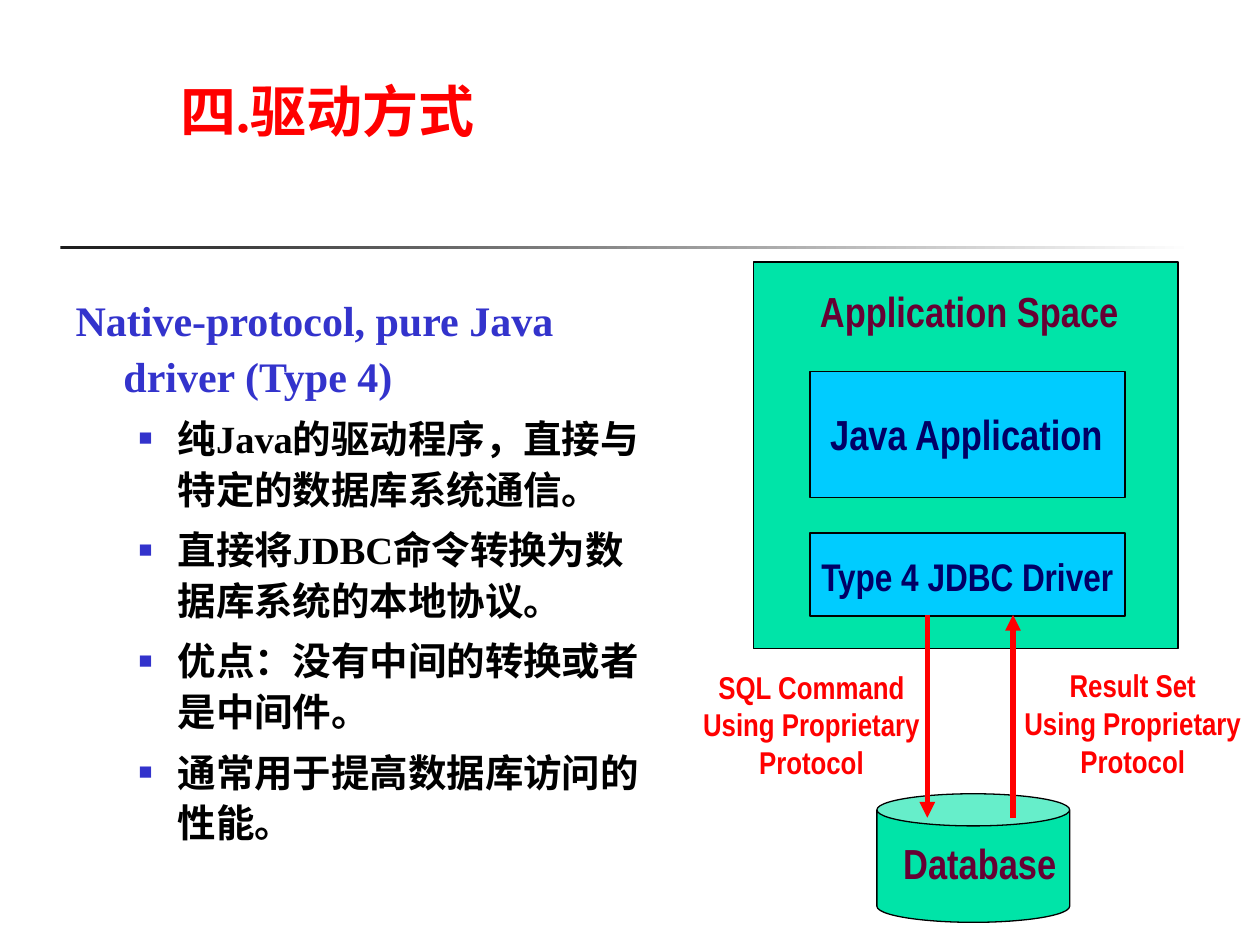
from lxml import etree
from pptx import Presentation
from pptx import util as u
from pptx.dml.color import RGBColor
from pptx.enum import shapes, text
from pptx.oxml import ns

COLORS = {
    "red": "FF0000", "blue": "3333CC", "black": "000000", "green": "00E4A8",
    "cyan": "00CCFF", "plum": "660033", "navy": "000066",
    "rule_dark": "1C1C1C", "rule_light": "FFFFFF",
}

deck = Presentation()
deck.slide_width, deck.slide_height = u.Inches(10), u.Inches(7.5)
slide = deck.slides.add_slide(deck.slide_layouts[1])


def box(*inches):
    return [u.Inches(value) for value in inches]


def style(paragraph, size, color, face):
    for run in paragraph.runs:
        run.font.size = u.Pt(size)
        run.font.bold = True
        run.font.name = face
        run.font.color.rgb = RGBColor.from_string(COLORS[color])


rule = slide.shapes.add_shape(shapes.MSO_SHAPE.RECTANGLE, *box(0.48, 1.95, 9, 0.03))
rule.shadow.inherit = False
rule.line.fill.background()
rule.fill.gradient()
rule.fill.gradient_angle = 0
for stop, shade, position in zip(rule.fill.gradient_stops, ("rule_dark", "rule_light"), (0, 1)):
    stop.color.rgb = RGBColor.from_string(COLORS[shade])
    stop.position = position

heading = slide.shapes.title
heading.left, heading.top, heading.width, heading.height = box(1.33, 0.56, 7.92, 0.64)
heading.text_frame.text = "四.驱动方式"
heading.text_frame.vertical_anchor = text.MSO_ANCHOR.TOP
heading.text_frame.auto_size = text.MSO_AUTO_SIZE.NONE
heading.text_frame.paragraphs[0].alignment = text.PP_ALIGN.LEFT
style(heading.text_frame.paragraphs[0], 32, "red", "Times New Roman")

driver_notes = slide.placeholders[1]
driver_notes.left, driver_notes.top, driver_notes.width, driver_notes.height = box(0.5, 2.25, 4.76, 4.48)
driver_notes.text_frame.auto_size = text.MSO_AUTO_SIZE.NONE
driver_notes.text_frame.text = "\n".join([
    "Native-protocol, pure Java driver (Type 4)",
    "纯Java的驱动程序，直接与特定的数据库系统通信。",
    "直接将JDBC命令转换为数据库系统的本地协议。",
    "优点：没有中间的转换或者是中间件。",
    "通常用于提高数据库访问的性能。",
])
for index, note in enumerate(driver_notes.text_frame.paragraphs):
    note.level = min(index, 1)
    note.line_spacing = 1.1
    note.space_before = u.Pt(5.5 if index else 0)
    margin, indent = (0.81, -0.31) if index else (0.38, -0.38)
    properties = note._p.get_or_add_pPr()
    properties.set("marL", str(u.Inches(margin)))
    properties.set("indent", str(u.Inches(indent)))
    if index:
        bullet_color = etree.SubElement(properties, ns.qn("a:buClr"))
        etree.SubElement(bullet_color, ns.qn("a:srgbClr"), val=COLORS["blue"])
        etree.SubElement(properties, ns.qn("a:buSzPct"), val="60000")
        etree.SubElement(properties, ns.qn("a:buChar"), char="■")
    else:
        etree.SubElement(properties, ns.qn("a:buNone"))
    style(note, 22 if index else 24, "black" if index else "blue", "Times New Roman")

for preset, place, color in (
    (shapes.MSO_SHAPE.RECTANGLE, (5.98, 2.08, 3.37, 3.07), "green"),
    (shapes.MSO_SHAPE.RECTANGLE, (6.43, 2.95, 2.5, 1), "cyan"),
    (shapes.MSO_SHAPE.RECTANGLE, (6.43, 4.23, 2.5, 0.66), "cyan"),
    (shapes.MSO_SHAPE.CAN, (6.96, 6.3, 1.53, 1.02), "green"),
):
    component = slide.shapes.add_shape(preset, *box(*place))
    component.shadow.inherit = False
    component.fill.solid()
    component.fill.fore_color.rgb = RGBColor.from_string(COLORS[color])
    component.line.color.rgb = RGBColor.from_string(COLORS["black"])
    component.line.width = u.Pt(0.75)

for x, arrow_end in ((7.36, "a:tailEnd"), (8.04, "a:headEnd")):
    flow = slide.shapes.add_connector(shapes.MSO_CONNECTOR.STRAIGHT, *box(x, 4.88, x, 6.49))
    flow.line.color.rgb = RGBColor.from_string(COLORS["red"])
    flow.line.width = u.Pt(3)
    etree.SubElement(flow.line._get_or_add_ln(), ns.qn(arrow_end), type="triangle")
    etree.SubElement(flow._element.spPr, ns.qn("a:effectLst"))

for wording, place, size, color, alignment in (
    ("Application Space", (6.41, 2.22, 2.57, 0.5), 24, "plum", text.PP_ALIGN.LEFT),
    ("Java Application", (6.49, 3.19, 2.37, 0.5), 24, "navy", text.PP_ALIGN.LEFT),
    ("Type 4 JDBC Driver", (6.42, 4.34, 2.54, 0.47), 22, "navy", text.PP_ALIGN.LEFT),
    ("Database", (7.07, 6.6, 1.42, 0.5), 24, "plum", text.PP_ALIGN.LEFT),
    ("SQL Command\vUsing Proprietary\vProtocol", (5.48, 5.25, 1.92, 1), 18, "red", text.PP_ALIGN.CENTER),
    ("Result Set\vUsing Proprietary\vProtocol", (8.03, 5.24, 1.92, 1), 18, "red", text.PP_ALIGN.CENTER),
):
    label = slide.shapes.add_textbox(*box(*place)).text_frame
    label.word_wrap = False
    label.auto_size = text.MSO_AUTO_SIZE.SHAPE_TO_FIT_TEXT
    label.paragraphs[0].text = wording
    label.paragraphs[0].alignment = alignment
    style(label.paragraphs[0], size, color, "Arial Narrow")

deck.save("out.pptx")
